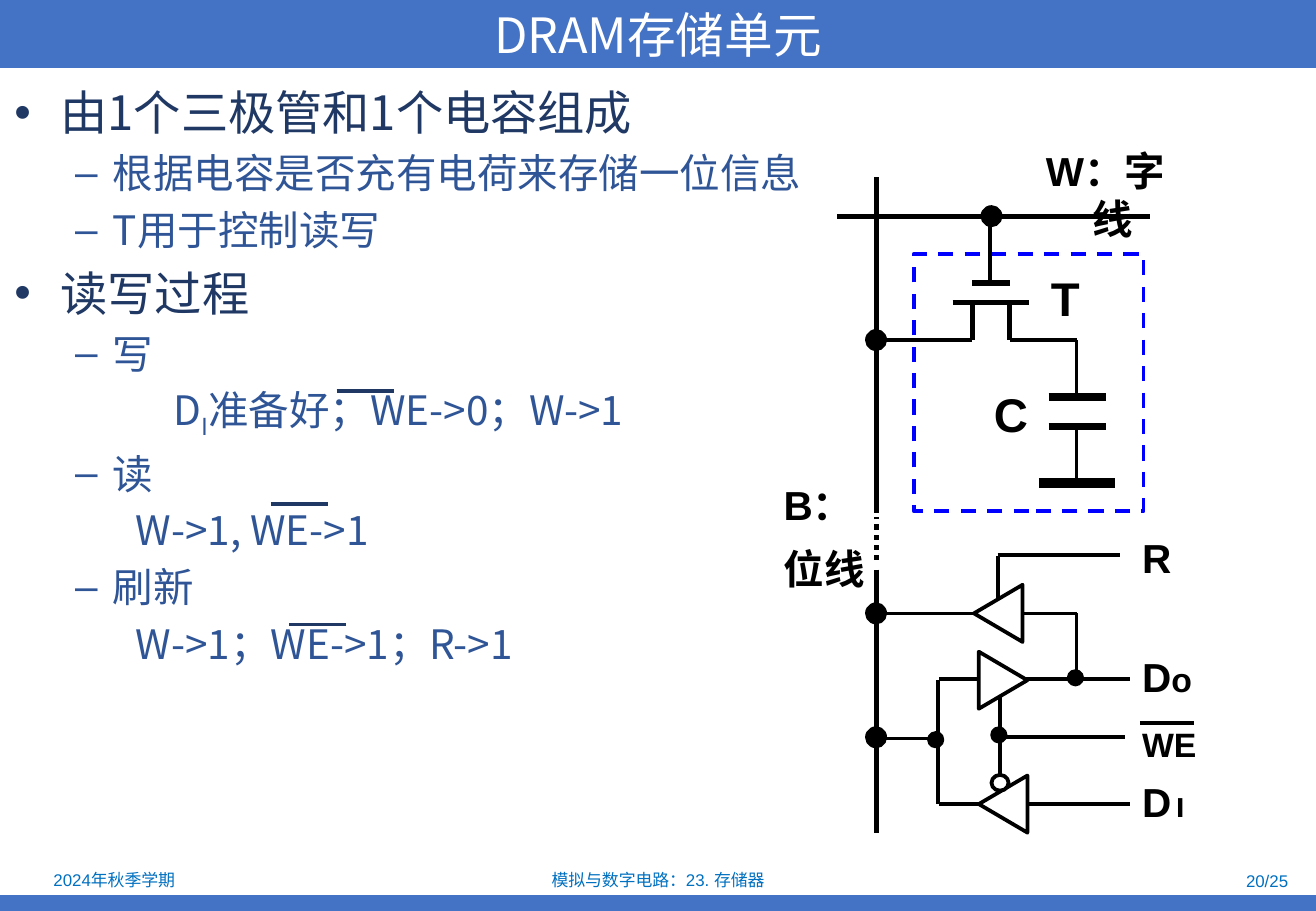
"""Build the DRAM memory cell slide with its bullet text and circuit diagram."""
from typing import NamedTuple

from lxml.etree import SubElement
from pptx import Presentation
from pptx.dml.color import RGBColor
from pptx.enum.dml import MSO_LINE
from pptx.enum.shapes import MSO_CONNECTOR, MSO_SHAPE
from pptx.enum.text import MSO_ANCHOR, PP_ALIGN
from pptx.oxml.ns import qn
from pptx.util import Inches, Pt

BLUE = RGBColor(0x44, 0x72, 0xC4)
NAVY = RGBColor(0x20, 0x38, 0x64)
MID_BLUE = RGBColor(0x2F, 0x55, 0x97)
FOOTER_BLUE = RGBColor(0x00, 0x70, 0xC0)
CELL_BLUE = RGBColor(0x00, 0x00, 0xFF)
BLACK = RGBColor(0, 0, 0)
WHITE = RGBColor(0xFF, 0xFF, 0xFF)
CJK = "Noto Sans CJK SC"


class Run(NamedTuple):
    text: str
    size: float
    font: str = "Arial"


class Item(NamedTuple):
    texts: list[str]
    bullet: str = ""
    left: float = 0.81
    hang: float = 0.31
    size: float = 24
    color: RGBColor = MID_BLUE
    before: float = 4.8


class Label(NamedTuple):
    x: float
    y: float
    w: float
    h: float
    lines: list[list[Run]]


class Wire(NamedTuple):
    x1: float
    y1: float
    x2: float
    y2: float
    width: float = 2.25
    color: RGBColor = BLACK
    dash: MSO_LINE | None = None


class Footer(NamedTuple):
    x: float
    y: float
    w: float
    h: float
    text: str
    align: PP_ALIGN = PP_ALIGN.CENTER


class Node(NamedTuple):
    x: float
    y: float
    d: float = 0.16


class Buffer(NamedTuple):
    x: float
    y: float
    rotation: int


ITEMS = [
    Item(["由1个三极管和1个电容组成"], "•", 0.38, 0.38, 28, NAVY, 0),
    Item(["根据电容是否充有电荷来存储一位信息"], "–"),
    Item(["T用于控制读写"], "–"),
    Item(["读写过程"], "•", 0.38, 0.38, 28, NAVY, 6),
    Item(["写"], "–"),
    Item(["D", "I", "准备好；WE->0；W->1"], left=1.31, hang=0),
    Item(["读"], "–"),
    Item(["W->1, WE->1"], left=1, hang=0),
    Item(["刷新"], "–"),
    Item(["W->1；WE->1；R->1"], left=1, hang=0),
]
FOOTERS = [
    Footer(0.02, 7.13, 1.84, 0.23, "2024年秋季学期"),
    Footer(3.7, 7.14, 3.43, 0.21, "模拟与数字电路：23. 存储器"),
    Footer(8.18, 7.15, 2.42, 0.21, "20/25", PP_ALIGN.RIGHT),
]
LABELS = [
    Label(8.55, 2.17, 0.44, 0.57, [[Run("T", 28)]]),
    Label(8.08, 3.12, 0.48, 0.57, [[Run("C", 28)]]),
    Label(6.35, 3.9, 0.88, 1.07, [[Run("B：", 24)], [Run("位线", 24)]]),
    Label(8.51, 1.15, 1.36, 0.51, [[Run("W：字线", 24)]]),
    Label(9.3, 4.34, 0.45, 0.5, [[Run("R", 24)]]),
    Label(9.3, 5.32, 0.62, 0.5, [[Run("D", 24), Run("o", 20)]]),
    Label(9.3, 5.91, 0.65, 0.44, [[Run("WE", 20)]]),
    Label(9.3, 6.35, 0.57, 0.51,
          [[Run("D", 24), Run(" ", 10), Run("I", 16, "Montserrat")]]),
]
CELL_WIRES = [
    Wire(8.86, 2.8, 8.86, 3.27), Wire(8, 2.33, 8.31, 2.33, 3),
    Wire(7.84, 2.49, 8.47, 2.49, 3), Wire(8.31, 2.49, 8.31, 2.8, 3),
    Wire(8, 2.49, 8, 2.8, 3), Wire(8.15, 1.78, 8.15, 2.33),
    Wire(8.31, 2.8, 8.86, 2.8), Wire(7.21, 2.8, 8, 2.8),
    Wire(8.63, 3.27, 9.1, 3.27, 4.5), Wire(8.63, 3.51, 9.1, 3.51, 4.5),
    Wire(8.86, 3.51, 8.86, 3.98), Wire(8.55, 3.98, 9.18, 3.98, 6),
]
LINE_WIRES = [
    Wire(6.89, 1.78, 9.46, 1.78, 3), Wire(7.21, 1.46, 7.21, 4.22, 3),
    Wire(7.21, 4.61, 7.21, 4.26, 3, dash=MSO_LINE.ROUND_DOT),
    Wire(7.21, 4.69, 7.21, 6.86, 3),
]
CONTROL_WIRES = [
    Wire(7.21, 5.05, 8.86, 5.05), Wire(7.73, 6.62, 9.3, 6.62),
    Wire(8.23, 5.68, 8.23, 6.49), Wire(7.73, 5.59, 9.3, 5.59),
    Wire(7.72, 5.6, 7.72, 6.62), Wire(8.23, 6.07, 9.26, 6.07),
    Wire(7.21, 6.08, 7.7, 6.08), Wire(8.86, 5.05, 8.86, 5.6),
    Wire(8.21, 4.57, 9.22, 4.57), Wire(8.21, 4.58, 8.21, 4.92),
]
OVERLINES = [Wire(9.38, 5.95, 9.83, 5.95)] + [
    Wire(x, y, x + 0.47, y, 2, NAVY)
    for x, y in ((2.77, 3.22), (2.23, 4.15), (2.38, 5.14))
]
BUFFERS = [Buffer(8.02, 6.42, 90), Buffer(8.02, 5.4, 270), Buffer(7.98, 4.85, 90)]
NODES = [
    Node(8.08, 1.7), Node(7.13, 2.72), Node(7.13, 4.97), Node(7.13, 5.99),
    Node(8.79, 5.52, 0.12), Node(8.16, 5.99, 0.12), Node(7.64, 6.03, 0.12),
]


def add_run(p, run: Run, color: RGBColor, bold: bool = False):
    """Append a styled run to a paragraph."""
    r = p.add_run()
    r.text = run.text
    r.font.size, r.font.bold, r.font.name = Pt(run.size), bold, run.font
    r.font.color.rgb = color
    SubElement(r._r.get_or_add_rPr(), qn("a:ea")).set("typeface", CJK)
    return r


def set_indent(p, left: float, hang: float) -> None:
    """Give a paragraph a hanging indent."""
    pPr = p._p.get_or_add_pPr()
    pPr.set("marL", str(Inches(left)))
    pPr.set("indent", str(-Inches(hang)))


def add_text_box(s, x: float, y: float, w: float, h: float):
    """Add a wrapping text box and return its text frame."""
    tf = s.shapes.add_textbox(Inches(x), Inches(y), Inches(w), Inches(h)).text_frame
    tf.word_wrap = True
    return tf


def add_shape(s, kind: MSO_SHAPE, x: float, y: float, w: float, h: float,
              fill: RGBColor | None, line: RGBColor | None = None, width: float = 2.25):
    """Add a flat preset shape."""
    sp = s.shapes.add_shape(kind, Inches(x), Inches(y), Inches(w), Inches(h))
    sp.shadow.inherit = False
    if fill is None:
        sp.fill.background()
    else:
        sp.fill.solid()
        sp.fill.fore_color.rgb = fill
    if line is None:
        sp.line.fill.background()
    else:
        sp.line.color.rgb, sp.line.width = line, Pt(width)
    return sp


def add_wire(s, wire: Wire) -> None:
    """Draw a straight wire."""
    c = s.shapes.add_connector(MSO_CONNECTOR.STRAIGHT, Inches(wire.x1), Inches(wire.y1),
                               Inches(wire.x2), Inches(wire.y2))
    c.line.color.rgb, c.line.width = wire.color, Pt(wire.width)
    if wire.dash is not None:
        c.line.dash_style = wire.dash
    SubElement(c._element.spPr, qn("a:effectLst"))


def add_items(s, items: list[Item]) -> None:
    """Write the bulleted body text."""
    tf = add_text_box(s, 0.02, 0.64, 10.81, 6.5)
    for i, item in enumerate(items):
        p = tf.add_paragraph() if i else tf.paragraphs[0]
        set_indent(p, item.left, item.hang)
        p.space_before = Pt(item.before)
        if item.bullet:
            pPr = p._p.get_or_add_pPr()
            SubElement(pPr, qn("a:buFont")).set("typeface", "Arial")
            SubElement(pPr, qn("a:buChar")).set("char", item.bullet)
        for text in item.texts:
            r = add_run(p, Run(text, item.size, CJK), item.color)
            if text == "I":
                r._r.get_or_add_rPr().set("baseline", "-25000")


def add_label(s, label: Label) -> None:
    """Write a bold circuit label."""
    tf = add_text_box(s, label.x, label.y, label.w, label.h)
    tf.margin_right = 0
    for i, runs in enumerate(label.lines):
        p = tf.add_paragraph() if i else tf.paragraphs[0]
        set_indent(p, 0.38, 0.38)
        p.space_before = Pt(9.6 if i else 0)
        for run in runs:
            add_run(p, run, BLACK, True)


def add_footer(s, footer: Footer) -> None:
    """Write one footer text."""
    tf = add_text_box(s, footer.x, footer.y, footer.w, footer.h)
    tf.margin_left = tf.margin_right = tf.margin_top = tf.margin_bottom = 0
    tf.vertical_anchor = MSO_ANCHOR.MIDDLE
    p = tf.paragraphs[0]
    p.alignment = footer.align
    add_run(p, Run(footer.text, 10), FOOTER_BLUE)


def main() -> None:
    """Assemble and save the slide."""
    prs = Presentation()
    prs.slide_width, prs.slide_height = Inches(10.83), Inches(7.5)
    s = prs.slides.add_slide(prs.slide_layouts[6])
    add_shape(s, MSO_SHAPE.RECTANGLE, 0, 7.37, 10.83, 0.13, BLUE)
    title = add_shape(s, MSO_SHAPE.RECTANGLE, 0, 0, 10.83, 0.56, BLUE)
    tf = title.text_frame
    tf.margin_top = tf.margin_bottom = 0
    tf.vertical_anchor = MSO_ANCHOR.MIDDLE
    tf.paragraphs[0].alignment = PP_ALIGN.CENTER
    add_run(tf.paragraphs[0], Run("DRAM存储单元", 28.8, CJK), WHITE)
    add_items(s, ITEMS)
    for footer in FOOTERS:
        add_footer(s, footer)
    cell = add_shape(s, MSO_SHAPE.RECTANGLE, 7.52, 2.09, 1.89, 2.12, None, CELL_BLUE)
    cell.line.dash_style = MSO_LINE.DASH
    for wire in CELL_WIRES + LINE_WIRES + CONTROL_WIRES + OVERLINES:
        add_wire(s, wire)
    for b in BUFFERS:
        sp = add_shape(s, MSO_SHAPE.FLOWCHART_MERGE, b.x, b.y, 0.47, 0.4, WHITE, BLACK)
        sp.rotation = b.rotation
    add_shape(s, MSO_SHAPE.OVAL, 8.16, 6.38, 0.14, 0.13, WHITE, BLACK)
    for n in NODES:
        add_shape(s, MSO_SHAPE.OVAL, n.x, n.y, n.d, n.d, BLACK, BLACK, 1.5)
    for label in LABELS:
        add_label(s, label)
    prs.save("out.pptx")


if __name__ == "__main__":
    main()
